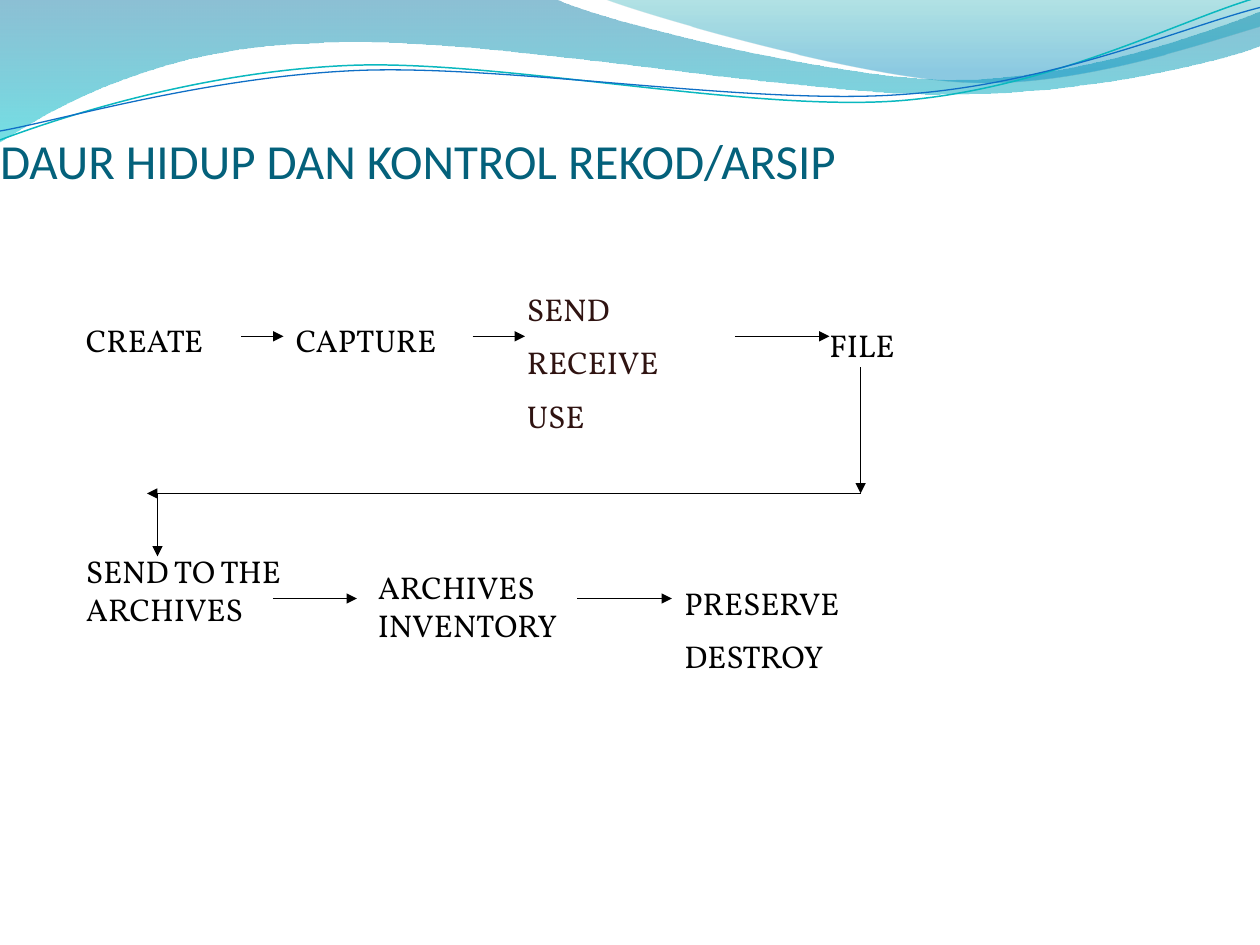
from dataclasses import dataclass
from math import cos, radians, sin
from typing import Any, NamedTuple

from lxml.etree import SubElement
from pptx import Presentation
from pptx.dml.color import RGBColor as Rgb
from pptx.enum.shapes import MSO_CONNECTOR as Connector
from pptx.enum.text import MSO_ANCHOR as Anchor, MSO_AUTO_SIZE as AutoSize, PP_ALIGN as Align
from pptx.oxml.ns import qn
from pptx.util import Pt

Point = tuple[float, float]


@dataclass(frozen=True)
class Theme:
    title_color: str = "04617B"
    ink: str = "000000"
    use_ink: str = "2F1311"
    title_font: str = "Calibri"
    label_font: str = "Vollkorn"
    title_size: float = 28
    label_size: float = 18
    paragraph_gap: float = 9
    arrow_width: float = 0.75


class Stop(NamedTuple):
    position: float
    color: str
    opacity: int


@dataclass(frozen=True)
class Wave:
    """A path whose segments hold one point (line) or three (Bezier curve)."""
    start: Point
    segments: tuple[tuple[Point, ...], ...]
    stops: tuple[Stop, ...] = ()
    line_color: str = ""
    line_width: float = 0
    tilt: float = 0
    center: Point = (0, 0)


class Stage(NamedTuple):
    lines: tuple[str, ...]
    left: float
    top: float
    width: float
    height: float
    color: str


class Arrow(NamedTuple):
    start: Point
    end: Point


THEME = Theme()

WAVES = (
    Wave((0, 0), (
        ((317, -0.7),),
        ((343, 12), (478, 45.4), (546, 45.4)),
        ((614, 45.4), (690, 18.7), (720, 6.5)),
        ((720.7, 26),),
        ((708, 31.7), (626, 54.7), (537, 54)),
        ((448, 54), (275, 20), (185, 24.5)),
        ((93, 26), (33, 60), (-0.7, 81.4)),
    ), stops=(Stop(0, "0074A1", 45), Stop(1, "00C6CF", 55))),
    Wave((345, -0.7), (
        ((366.5, 8), (491, 44.6), (553.7, 46.8)),
        ((616.3, 49.7), (692, 23), (720, 15)),
        ((720, 0),),
    ), stops=(Stop(0, "00A1A9", 30), Stop(0.8, "008BBF", 45))),
    Wave((0, 80), (
        ((34.6, 67), (113.8, 41), (199.4, 37.4)),
        ((284.4, 33.8), (427, 64), (513.4, 57.6)),
        ((599.8, 51), (675.4, 10.8), (718.6, -1.4)),
    ), line_color="0AB8BF", line_width=0.85, tilt=-2.7, center=(359.3, 41.4)),
    Wave((0, 74.9), (
        ((33.8, 69), (118, 44), (203.8, 40.3)),
        ((290, 36.7), (430, 60.5), (516, 54)),
        ((602, 48), (677.5, 15), (720, 4.3)),
    ), line_color="0F6FC6", line_width=0.75, tilt=-2.7, center=(359.9, 42.5)),
)

STAGES = (
    Stage(("CREATE",), 42, 180, 102, 29, THEME.ink),
    Stage(("CAPTURE",), 162, 180, 102, 29, THEME.ink),
    Stage(("SEND", "RECEIVE", "USE"), 294, 162, 96, 94, THEME.use_ink),
    Stage(("FILE",), 466.8, 183, 97, 29, THEME.ink),
    Stage(("SEND TO THE ARCHIVES",), 42, 312, 132, 72, THEME.ink),
    Stage(("ARCHIVES INVENTORY",), 208.8, 320.9, 133, 50, THEME.ink),
    Stage(("PRESERVE", "DESTROY"), 384, 330, 120, 61, THEME.ink),
)

TOP_ROW, TURN_ROW, BOTTOM_ROW = 192.2, 282, 342
FILE_COLUMN = 491.8
ARROWS = (
    Arrow((138, TOP_ROW), (162, TOP_ROW)),
    Arrow((270, TOP_ROW), (300, TOP_ROW)),
    Arrow((420, TOP_ROW), (474, TOP_ROW)),
    Arrow((FILE_COLUMN, 210), (FILE_COLUMN, TURN_ROW)),
    Arrow((FILE_COLUMN, TURN_ROW), (84, TURN_ROW)),
    Arrow((156, BOTTOM_ROW), (204, BOTTOM_ROW)),
    Arrow((330, BOTTOM_ROW), (384, BOTTOM_ROW)),
    Arrow((90, TURN_ROW), (90, 318)),
)


def apply_format(target: Any, values: dict[str, Any]) -> None:
    for attribute, value in values.items():
        setattr(target, attribute, value)


def style_font(font: Any, name: str, size: float, color: str) -> None:
    apply_format(font, {"name": name, "size": Pt(size), "bold": False})
    font.color.rgb = Rgb.from_string(color)


def untilt(point: Point, wave: Wave) -> Point:
    """Return where the point lies before the wave is rotated by its tilt."""
    angle = radians(-wave.tilt)
    x, y = point[0] - wave.center[0], point[1] - wave.center[1]
    return (wave.center[0] + x * cos(angle) - y * sin(angle),
            wave.center[1] + x * sin(angle) + y * cos(angle))


def bend_curves(ribbon: Any, wave: Wave) -> None:
    """Join each segment's three straight steps into one Bezier curve."""
    steps = iter(list(ribbon.element.spPr.iter(qn("a:lnTo"))))
    for segment in wave.segments:
        first, *others = [next(steps) for _ in segment]
        if others:
            first.tag = qn("a:cubicBezTo")
        for step in others:
            first.append(step[0])
            step.getparent().remove(step)


def draw_wave(slide: Any, wave: Wave) -> None:
    outline = [wave.start, *(point for segment in wave.segments for point in segment)]
    first, *rest = [(Pt(x), Pt(y)) for x, y in (untilt(p, wave) for p in outline)]
    builder = slide.shapes.build_freeform(*first)
    builder.add_line_segments(rest, close=bool(wave.stops))
    ribbon = builder.convert_to_shape()
    bend_curves(ribbon, wave)
    ribbon.rotation = wave.tilt
    ribbon.shadow.inherit = False
    if not wave.stops:
        ribbon.fill.background()
        ribbon.line.color.rgb = Rgb.from_string(wave.line_color)
        ribbon.line.width = Pt(wave.line_width)
        return
    ribbon.line.fill.background()
    ribbon.fill.gradient()
    ribbon.fill.gradient_angle = 270
    for gradient_stop, stop in zip(ribbon.fill.gradient_stops, wave.stops):
        gradient_stop.position = stop.position
        gradient_stop.color.rgb = Rgb.from_string(stop.color)
    tints = ribbon.element.spPr.iter(qn("a:srgbClr"))
    for tint, stop in zip(list(tints), wave.stops):
        SubElement(tint, qn("a:alpha"), val=str(stop.opacity * 1000))


def write_title(slide: Any, wording: str) -> None:
    title = slide.shapes.title
    apply_format(title, {"left": Pt(0), "top": Pt(12), "width": Pt(660), "height": Pt(96)})
    frame = title.text_frame
    frame.text = wording
    apply_format(frame, {
        "margin_left": 0, "margin_right": 0, "margin_top": Pt(3.6), "margin_bottom": 0,
        "vertical_anchor": Anchor.BOTTOM, "auto_size": AutoSize.NONE, "word_wrap": True,
    })
    heading = frame.paragraphs[0]
    heading.alignment = Align.LEFT
    style_font(heading.runs[0].font, THEME.title_font, THEME.title_size, THEME.title_color)


def draw_stage(slide: Any, stage: Stage) -> None:
    bounds = (Pt(v) for v in (stage.left, stage.top, stage.width, stage.height))
    frame = slide.shapes.add_textbox(*bounds).text_frame
    frame.text = "\n".join(stage.lines)
    apply_format(frame, {"word_wrap": True, "auto_size": AutoSize.SHAPE_TO_FIT_TEXT})
    for index, paragraph in enumerate(frame.paragraphs):
        if index:
            paragraph.space_before = Pt(THEME.paragraph_gap)
        style_font(paragraph.runs[0].font, THEME.label_font, THEME.label_size, stage.color)


def draw_arrow(slide: Any, arrow: Arrow) -> None:
    ends = (Pt(v) for v in (*arrow.start, *arrow.end))
    connector = slide.shapes.add_connector(Connector.STRAIGHT, *ends)
    connector.line.color.rgb = Rgb.from_string(THEME.ink)
    connector.line.width = Pt(THEME.arrow_width)
    properties = connector.element.spPr
    SubElement(properties.find(qn("a:ln")), qn("a:tailEnd"), type="triangle")
    SubElement(properties, qn("a:effectLst"))


def main() -> None:
    deck = Presentation()
    apply_format(deck, {"slide_width": Pt(720), "slide_height": Pt(540)})
    slide = deck.slides.add_slide(deck.slide_layouts[5])
    for draw, parts in ((draw_wave, WAVES), (draw_stage, STAGES), (draw_arrow, ARROWS)):
        for part in parts:
            draw(slide, part)
    write_title(slide, "DAUR HIDUP DAN KONTROL REKOD/ARSIP")
    deck.save("out.pptx")


if __name__ == "__main__":
    main()
